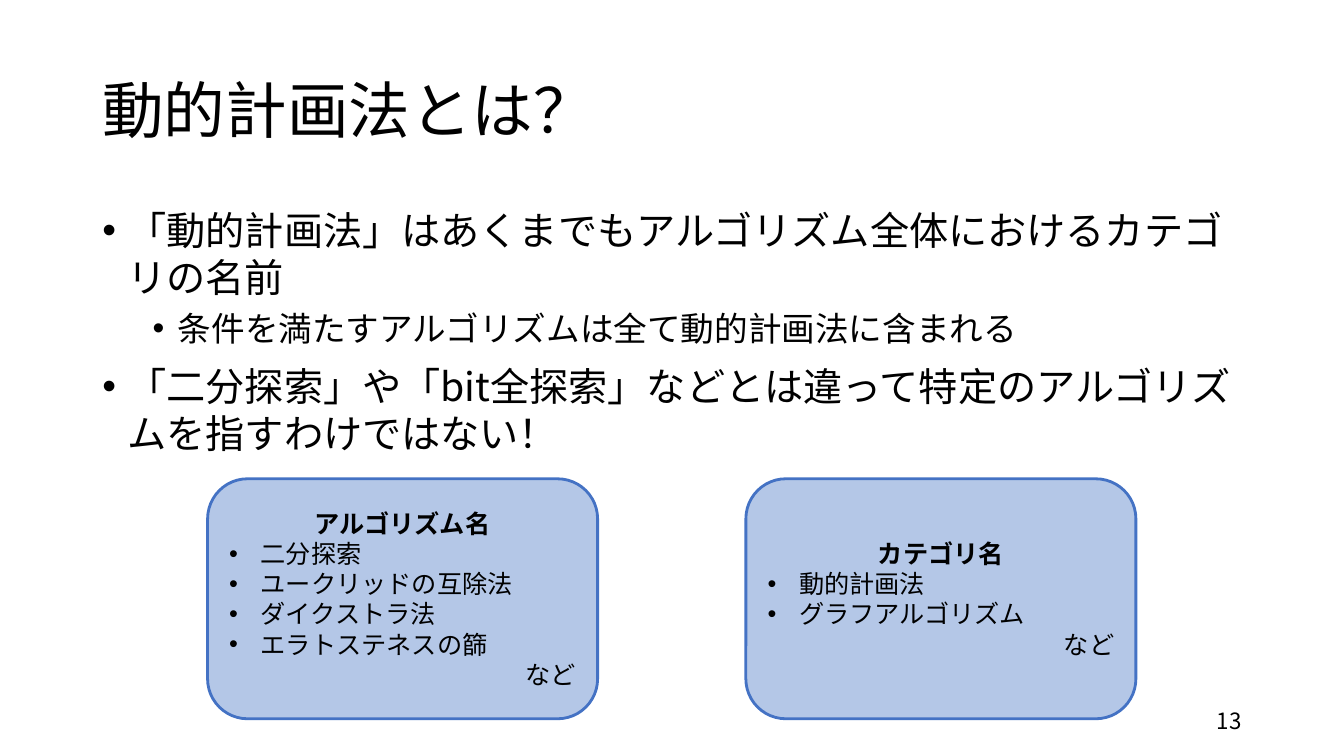
from lxml import etree
from pptx import Presentation
from pptx.dml.color import RGBColor
from pptx.enum.shapes import MSO_SHAPE
from pptx.enum.text import MSO_ANCHOR, PP_ALIGN
from pptx.oxml.ns import qn
from pptx.util import Pt

LEFT, CENTER, RIGHT = PP_ALIGN.LEFT, PP_ALIGN.CENTER, PP_ALIGN.RIGHT
TOP, MIDDLE = MSO_ANCHOR.TOP, MSO_ANCHOR.MIDDLE
ROUNDED = MSO_SHAPE.ROUNDED_RECTANGLE

FONT = "Noto Sans CJK JP"
BLACK, BOX_FILL, BOX_LINE = "000000", "B4C7E7", "4472C4"

TITLE = "動的計画法とは？"
BODY = [  # level, text
    (0, "「動的計画法」はあくまでもアルゴリズム全体におけるカテゴリの名前"),
    (1, "条件を満たすアルゴリズムは全て動的計画法に含まれる"),
    (0, "「二分探索」や「bit全探索」などとは違って特定のアルゴリズムを指すわけではない！"),
]
LEVELS = [  # size, space before, margin
    (28, 10, 18),
    (24, 5, 54),
]
BOXES = [
    ("アルゴリズム名", ["二分探索", "ユークリッドの互除法", "ダイクストラ法", "エラトステネスの篩"]),
    ("カテゴリ名", ["動的計画法", "グラフアルゴリズム"]),
]
BOX_ENDING = "など"
PAGE_NUMBER = "13"

SLIDE_WIDTH, SLIDE_HEIGHT = 960, 540
MARGIN = 66
TEXT_WIDTH = SLIDE_WIDTH - 2 * MARGIN
BOX_LEFT, BOX_TOP, BOX_WIDTH, BOX_HEIGHT = 148.3, 342, 278.6, 171.4
BOX_STEP = 384.5
BODY_HANG, BOX_HANG = 18, 22.5


def color(hex_code):
    return RGBColor.from_string(hex_code)


def add_bullet(paragraph, margin, hang):
    properties = paragraph._p.get_or_add_pPr()
    properties.set("marL", str(Pt(margin)))
    properties.set("indent", str(-Pt(hang)))
    etree.SubElement(properties, qn("a:buFont")).set("typeface", "Arial")
    etree.SubElement(properties, qn("a:buChar")).set("char", "•")


def write(frame, lines, anchor):
    """Fill a text frame with (text, size, options) lines."""
    frame.word_wrap = True
    frame.vertical_anchor = anchor
    for index, (text, size, options) in enumerate(lines):
        paragraph = frame.paragraphs[0] if index == 0 else frame.add_paragraph()
        paragraph.text = text
        paragraph.alignment = options.get("align", LEFT)
        paragraph.level = options.get("level", 0)
        paragraph.space_before = Pt(options.get("before", 0))
        paragraph.line_spacing = options.get("spacing", 1.0)
        if "bullet" in options:
            add_bullet(paragraph, *options["bullet"])
        font = paragraph.font
        font.name, font.size = FONT, Pt(size)
        font.bold = options.get("bold", False)
        font.color.rgb = color(BLACK)
        defaults = paragraph._p.pPr.find(qn("a:defRPr"))
        east_asian = etree.Element(qn("a:ea"), typeface=FONT)
        defaults.find(qn("a:latin")).addnext(east_asian)


def add_text(slide, left, top, width, height, lines, anchor):
    shape = slide.shapes.add_textbox(Pt(left), Pt(top), Pt(width), Pt(height))
    write(shape.text_frame, lines, anchor)


def add_box(slide, left, heading, items):
    shape = slide.shapes.add_shape(
        ROUNDED, Pt(left), Pt(BOX_TOP), Pt(BOX_WIDTH), Pt(BOX_HEIGHT))
    shape.shadow.inherit = False
    shape.fill.solid()
    shape.fill.fore_color.rgb = color(BOX_FILL)
    shape.line.color.rgb = color(BOX_LINE)
    shape.line.width = Pt(2)
    lines = [(heading, 18, {"align": CENTER, "bold": True})]
    lines += [(item, 18, {"bullet": (BOX_HANG, BOX_HANG)}) for item in items]
    lines.append((BOX_ENDING, 18, {"align": RIGHT}))
    write(shape.text_frame, lines, MIDDLE)


def main():
    presentation = Presentation()
    presentation.slide_width = Pt(SLIDE_WIDTH)
    presentation.slide_height = Pt(SLIDE_HEIGHT)
    slide = presentation.slides.add_slide(presentation.slide_layouts[6])

    add_text(slide, MARGIN, 28.8, TEXT_WIDTH, 104.4,
             [(TITLE, 44, {"spacing": 0.9})], MIDDLE)
    body_lines = []
    for level, text in BODY:
        size, before, margin = LEVELS[level]
        body_lines.append((text, size, {
            "level": level, "before": before, "bullet": (margin, BODY_HANG)}))
    add_text(slide, MARGIN, 144, TEXT_WIDTH, 342.7, body_lines, TOP)

    for index, (heading, items) in enumerate(BOXES):
        add_box(slide, BOX_LEFT + index * BOX_STEP, heading, items)

    add_text(slide, 678, 500.5, 216, 28.8,
             [(PAGE_NUMBER, 16, {"align": RIGHT})], MIDDLE)
    presentation.save("out.pptx")


if __name__ == "__main__":
    main()
